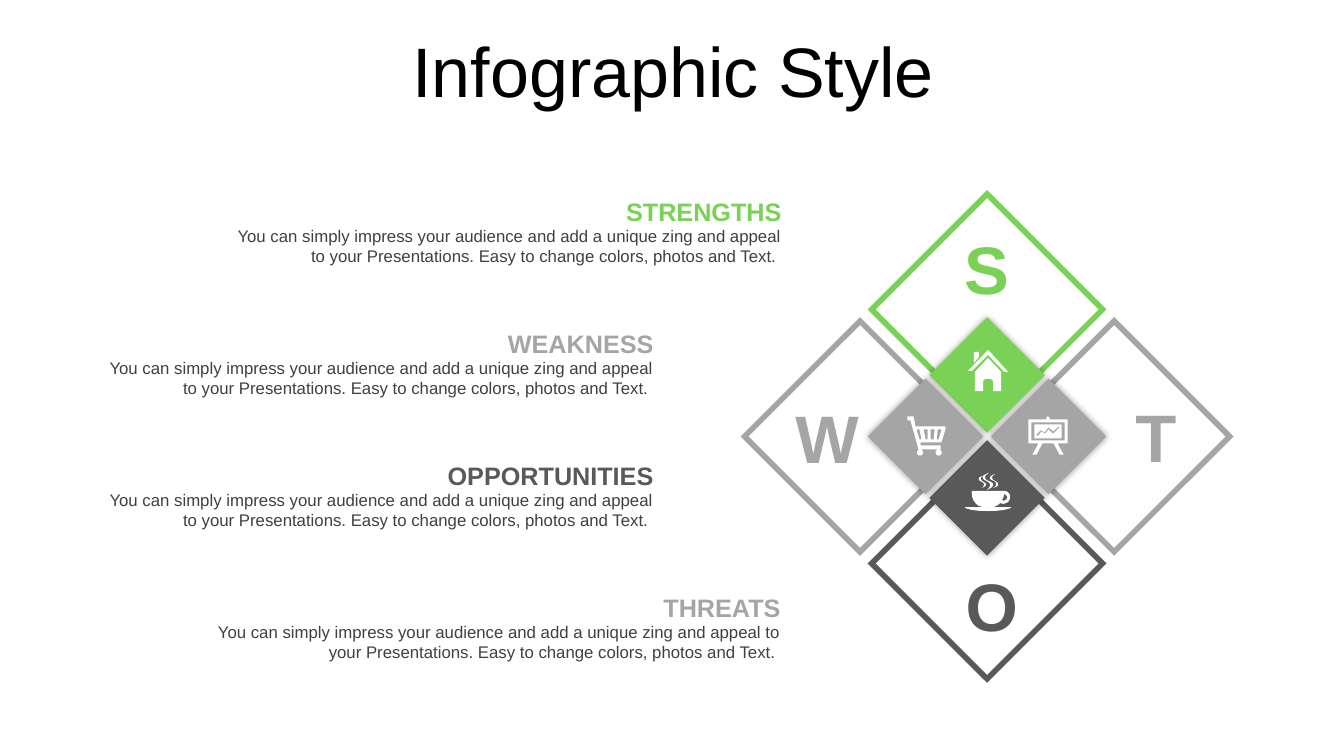
import lxml.etree
import pptx
import pptx.dml.color
import pptx.enum.shapes
import pptx.enum.text
import pptx.oxml
import pptx.oxml.ns
import pptx.util

Inches = pptx.util.Inches
Pt = pptx.util.Pt
ALIGN = pptx.enum.text.PP_ALIGN

GREEN, SILVER, CHARCOAL = "79D155", "A5A5A5", "595959"
BODY_TEXT = ("You can simply impress your audience and add a unique zing and appeal "
             "to your Presentations. Easy to change colors, photos and Text. ")
CENTER_X, CENTER_Y = 9.79, 4.33


def color(hex_value):
    """Turn a hex string into a colour."""
    return pptx.dml.color.RGBColor.from_string(hex_value)


def box(x0, y0, x1, y1):
    """Return the corners of a rectangular outline."""
    return [(x0, y0), (x1, y0), (x1, y1), (x0, y1)]


def wheel(x, y, r):
    """Return a round outline made of four curves."""
    k = 0.55 * r
    return [(x + r, y),
            (x + r, y + k, x + k, y + r, x, y + r),
            (x - k, y + r, x - r, y + k, x - r, y),
            (x - r, y - k, x - k, y - r, x, y - r),
            (x + k, y - r, x + r, y - k, x + r, y)]


def flatten(outline):
    """Sample points along an outline of lines and cubic curves."""
    points = []
    for step in outline:
        if len(step) == 2:
            points.append(step)
            continue
        start, first, second, end = points[-1], step[:2], step[2:4], step[4:]
        for t in (i / 8 for i in range(1, 9)):
            u = 1 - t
            points.append(tuple(
                u**3 * a + 3 * u * u * t * b + 3 * u * t * t * c + t**3 * d
                for a, b, c, d in zip(start, first, second, end)))
    return [(round(x * 10), round(y * 10)) for x, y in points]


EASEL = [
    [(30, 10), (25, 15), (21, 12), (20, 11), (16, 16), (13, 14), (12, 14), (8, 18),
     (8.5, 19.5), (10, 19), (13, 15), (16, 17), (17, 17), (20, 13), (24, 17),
     (25, 17), (31, 11)],
    box(6, 8, 33, 22),
    box(3, 6, 36, 24),
    [(19, 0), (20, 0, 21, 1, 21, 2), (21, 3), (39, 3), (39, 27), (29, 27), (35, 38),
     (31, 38), (25, 27), (14, 27), (8, 38), (4, 38), (10, 27), (0, 27), (0, 3),
     (18, 3), (18, 2), (18, 1, 19, 0, 19, 0)],
]
CART = [
    [(30, 13), (29, 23), (31, 23), (34, 13)],
    [(23, 13), (23, 23), (26, 23), (27, 13)],
    [(16, 13), (18, 23), (20, 23), (20, 13)],
    [(9, 13), (12, 23), (14, 23), (12, 13)],
    [(6, 0), (8, 10), (36, 10), (38, 10, 38, 11, 38, 12), (34, 25),
     (34, 26, 33, 26, 32, 26), (13, 26), (13, 29), (33, 29), (33, 33), (11, 33),
     (3, 4), (0, 4), (0, 0)],
    wheel(12.5, 36, 3),
    wheel(31, 36, 3),
]
HOUSE = [
    [(20, 8), (33, 22), (33, 41), (25, 41), (25, 32), (25, 31, 24, 29, 22, 29),
     (18, 29), (16, 29, 15, 31, 15, 32), (15, 41), (7, 41), (7, 22)],
    [(6, 2), (11, 2), (11, 7), (6, 13)],
    [(20, 0), (40, 22), (36, 22), (20, 5), (4, 21), (0, 21)],
]
CUP = [
    [(39, 21), (39, 23, 38, 25, 37, 27), (38, 28, 39, 28, 40, 27),
     (41, 27, 42, 25, 42, 24), (41, 22, 40, 21, 39, 21)],
    [(39, 18), (42, 18, 44, 20, 45, 23), (45, 26, 44, 29, 41, 30),
     (39, 31, 37, 31, 35, 30), (34, 31, 33, 32, 31, 33), (30, 33, 29, 34, 28, 34),
     (46, 34), (46, 36, 35, 38, 23, 38), (10, 38, 0, 36, 0, 34), (18, 34),
     (17, 34, 15, 33, 14, 33), (9, 30, 6, 24, 7, 18)],
    [(18, 3), (17, 4, 15, 5, 16, 6), (16, 9, 21, 9, 21, 12), (20, 14, 19, 14, 17, 15),
     (18, 14, 19, 13, 19, 12), (19, 9, 15, 9, 14, 7), (13, 5, 15, 4, 18, 3)],
    [(30, 1), (28, 3, 27, 3, 27, 5), (27, 8, 33, 8, 33, 12), (32, 14, 31, 14, 28, 15),
     (30, 14, 31, 13, 31, 11), (31, 8, 27, 8, 25, 6), (24, 4, 26, 3, 30, 1)],
    [(24, 0), (22, 2, 20, 2, 20, 5), (21, 9, 28, 8, 28, 12), (27, 15, 26, 15, 22, 17),
     (24, 15, 25, 14, 25, 12), (25, 9, 20, 8, 18, 6), (17, 3, 19, 2, 24, 0)],
]


class SlideBuilder:
    """Hold the style and the slide being drawn."""

    font = "Arial"

    def __init__(self, slide):
        """Keep the slide to draw on."""
        self.slide = slide

    def text(self, words, left, top, width, height, size, hue, align, bold=False):
        """Add a one-paragraph text box."""
        holder = self.slide.shapes.add_textbox(*map(Inches, (left, top, width, height)))
        frame = holder.text_frame
        frame.word_wrap = True
        frame.vertical_anchor = pptx.enum.text.MSO_ANCHOR.MIDDLE
        frame.text = words
        paragraph = frame.paragraphs[0]
        paragraph.alignment = align
        font = paragraph.runs[0].font
        font.name, font.size, font.bold = self.font, Pt(size), bold
        font.color.rgb = color(hue)
        return frame

    def diamond(self, x, y, side):
        """Add a square turned on its corner around a centre."""
        square = self.slide.shapes.add_shape(
            pptx.enum.shapes.MSO_SHAPE.RECTANGLE, Inches(x - side / 2),
            Inches(y - side / 2), Inches(side), Inches(side))
        square.rotation = 45
        square.shadow.inherit = False
        return square

    def frame(self, x, y, hue):
        """Add a large diamond outline with sharp corners."""
        outline = self.diamond(x, y, 1.62)
        outline.fill.background()
        outline.line.color.rgb = color(hue)
        outline.line.width = Pt(4)
        miter = lxml.etree.SubElement(outline.line._get_or_add_ln(),
                                      pptx.oxml.ns.qn("a:miter"))
        miter.set("lim", "800000")

    def tile(self, x, y, hue):
        """Add a small filled diamond with a soft shadow."""
        tile = self.diamond(x, y, 0.81)
        tile.fill.solid()
        tile.fill.fore_color.rgb = color(hue)
        tile.line.fill.background()
        effects = tile._element.spPr.find(pptx.oxml.ns.qn("a:effectLst"))
        effects.append(pptx.oxml.parse_xml(
            f'<a:outerShdw {pptx.oxml.ns.nsdecls("a")} blurRad="{Pt(5)}" dist="0" '
            'dir="0" algn="ctr" rotWithShape="0"><a:srgbClr val="000000">'
            '<a:alpha val="40000"/></a:srgbClr></a:outerShdw>'))

    def icon(self, left, top, outlines):
        """Add a white icon from outlines in hundredths of an inch."""
        first, *others = map(flatten, outlines)
        builder = self.slide.shapes.build_freeform(*first[0], scale=Inches(0.001))
        builder.add_line_segments(first[1:], close=True)
        for points in others:
            builder.move_to(*points[0])
            builder.add_line_segments(points[1:], close=True)
        symbol = builder.convert_to_shape(Inches(left), Inches(top))
        symbol.shadow.inherit = False
        symbol.fill.solid()
        symbol.fill.fore_color.rgb = color("FFFFFF")
        symbol.line.fill.background()


def main():
    """Build the SWOT slide and save it."""
    deck = pptx.Presentation()
    deck.slide_width, deck.slide_height = Inches(13.33), Inches(7.5)
    page = SlideBuilder(deck.slides.add_slide(deck.slide_layouts[6]))

    title = page.text("Infographic Style", 0.35, 0.37, 12.66, 0.79, 50, "000000",
                      ALIGN.CENTER)
    title.margin_top = Inches(0.1)
    title.paragraphs[0].line_spacing = 0.7

    quadrants = [("O", 0, 1, CHARCOAL, 9.48, 5.54), ("T", 1, 0, SILVER, 11.14, 3.87),
                 ("S", 0, -1, GREEN, 9.46, 2.2), ("W", -1, 0, SILVER, 7.79, 3.88)]
    for draw, reach in ((page.frame, 1.26), (page.tile, 0.61)):
        for _, across, down, hue, _, _ in quadrants:
            draw(CENTER_X + across * reach, CENTER_Y + down * reach, hue)
    for letter, _, _, hue, left, top in quadrants:
        page.text(letter, left, top, 0.65, 0.91, 48, hue, ALIGN.CENTER, True)

    topics = [("STRENGTHS", GREEN, 2.11, 5.74), ("WEAKNESS", SILVER, 0.84, 5.74),
              ("OPPORTUNITIES", CHARCOAL, 0.84, 5.74), ("THREATS", SILVER, 2.06, 5.78)]
    for row, (heading, hue, left, width) in enumerate(topics):
        top = 1.9 + 1.31 * row
        page.text(heading, left, top, width, 0.4, 18, hue, ALIGN.RIGHT, True)
        page.text(BODY_TEXT, left, top + 0.29, width, 0.5, 12, "404040", ALIGN.RIGHT)

    for left, top, outlines in ((10.2, 4.13, EASEL), (9, 4.13, CART),
                                (9.6, 3.47, HOUSE), (9.57, 4.69, CUP)):
        page.icon(left, top, outlines)

    deck.save("out.pptx")


if __name__ == "__main__":
    main()
